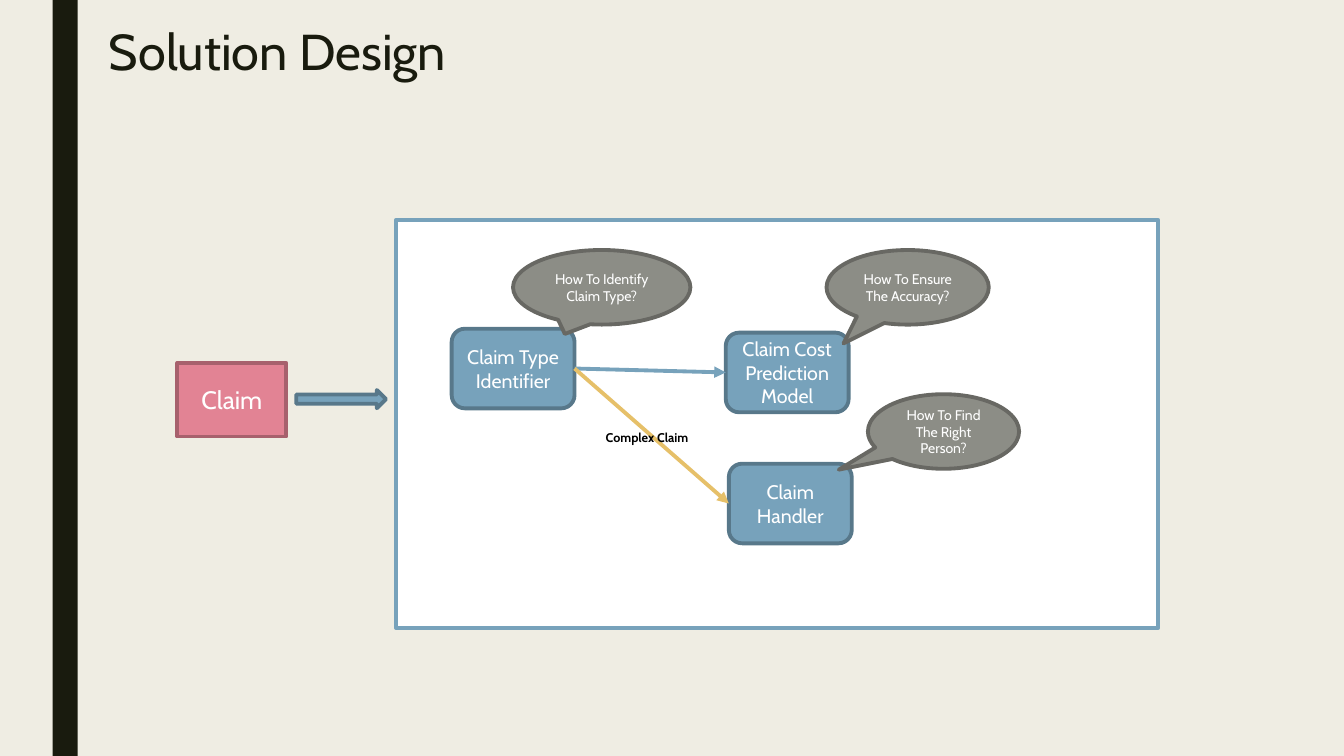
from lxml import etree
from pptx import Presentation
from pptx.dml.color import RGBColor
from pptx.enum.shapes import MSO_CONNECTOR, MSO_SHAPE
from pptx.enum.text import MSO_ANCHOR, PP_ALIGN
from pptx.oxml.ns import qn
from pptx.util import Pt

RECT, PANEL = MSO_SHAPE.RECTANGLE, MSO_SHAPE.FLOWCHART_PROCESS
STEP, ARROW = MSO_SHAPE.FLOWCHART_ALTERNATE_PROCESS, MSO_SHAPE.RIGHT_ARROW
BUBBLE, STRAIGHT = MSO_SHAPE.OVAL_CALLOUT, MSO_CONNECTOR.STRAIGHT
LEFT, CENTER = PP_ALIGN.LEFT, PP_ALIGN.CENTER
TOP, MIDDLE = MSO_ANCHOR.TOP, MSO_ANCHOR.MIDDLE
COLORS = {
    "paper": "EFEDE3", "ink": "191B0E", "white": "FFFFFF", "black": "000000",
    "rose": "E28394", "wine": "A7616D", "blue": "77A2BB", "navy": "58788A",
    "gray": "8C8D86", "slate": "686863", "gold": "E6C069",
}
LINE = Pt(2.75)
LEFT_SITE, RIGHT_SITE = 1, 3


def color(name):
    """Return the named colour."""
    return RGBColor.from_string(COLORS[name])


def write(frame, text, size, tint, align=CENTER, anchor=MIDDLE, bold=False):
    """Fill a text frame with one formatted paragraph."""
    frame.word_wrap = True
    frame.vertical_anchor = anchor
    para = frame.paragraphs[0]
    para.text, para.alignment = text, align
    form = {"name": "Cabin", "size": Pt(size), "bold": bold}
    for key, value in form.items():
        setattr(para.font, key, value)
    para.font.color.rgb = color(tint)
    return para


def draw(slide, kind, box, fill, edge=None, text="", size=14):
    """Add a filled preset shape with optional outline and text."""
    shape = slide.shapes.add_shape(kind, *map(Pt, box))
    shape.shadow.inherit = False
    shape.fill.solid()
    shape.fill.fore_color.rgb = color(fill)
    if edge:
        shape.line.color.rgb = color(edge)
        shape.line.width = LINE
    else:
        shape.line.fill.background()
    if text:
        write(shape.text_frame, text, size, "white")
    return shape


def link(slide, start, end, tint):
    """Join two steps with an arrow."""
    line = slide.shapes.add_connector(STRAIGHT, 0, 0, 0, 0)
    line.begin_connect(start, RIGHT_SITE)
    line.end_connect(end, LEFT_SITE)
    line.line.color.rgb = color(tint)
    line.line.width = LINE
    etree.SubElement(line.line._get_or_add_ln(), qn("a:tailEnd"), type="triangle")
    etree.SubElement(line._element.spPr, qn("a:effectLst"))


def head(slide, box):
    """Place the slide title."""
    title = slide.shapes.title
    for key, value in zip(("left", "top", "width", "height"), box):
        setattr(title, key, Pt(value))
    para = write(title.text_frame, "Solution Design", 36, "ink", LEFT, TOP)
    para.line_spacing = 0.89


def claim(slide, box):
    """Draw the incoming claim and its arrow."""
    left, top, width, height = box
    draw(slide, RECT, (left, top, 77.8, height), "rose", "wine", "Claim", 18)
    draw(slide, ARROW, (left + 85, top + 19.4, width - 85, 13), "blue", "navy")


def flow(slide, box):
    """Draw the panel with its steps, links and questions."""
    left, top = box[:2]
    draw(slide, PANEL, box, "white", "blue")
    steps = [
        draw(slide, STEP, (left + x, top + y, 87.8, 56.9), "blue", "navy", text)
        for x, y, text in (
            (39.6, 77.8, "Claim Type Identifier"),
            (235.4, 80.6, "Claim Cost Prediction Model"),
            (237.6, 174.2, "Claim Handler"),
        )
    ]
    for end, tint in zip(steps[1:], ("blue", "gold")):
        link(slide, steps[0], end, tint)
    note = slide.shapes.add_textbox(Pt(left + 142.6), Pt(top + 146.2), Pt(79.2), Pt(18))
    write(note.text_frame, "Complex Claim", 9, "black", LEFT, TOP, True)
    for x, y, width, tip, text in (
        (83.5, 21.6, 126.7, (-0.208, 0.625), "How To Identify Claim Type?"),
        (337, 124.6, 108, (-0.693, 0.512), "How To Find The Right Person?"),
        (307.4, 21.6, 115.9, (-0.395, 0.752), "How To Ensure The Accuracy?"),
    ):
        spot = (left + x, top + y, width, 53.3)
        bubble = draw(slide, BUBBLE, spot, "gray", "slate", text, 10)
        for i, value in enumerate(tip):
            bubble.adjustments[i] = value


def main():
    """Build and save the slide."""
    deck = Presentation()
    deck.slide_width, deck.slide_height = Pt(960), Pt(540)
    slide = deck.slides.add_slide(deck.slide_layouts[5])
    slide.background.fill.solid()
    slide.background.fill.fore_color.rgb = color("paper")
    draw(slide, RECT, (37.5, 0, 18, 540), "ink")
    head(slide, (70.6, 15.8, 296, 51))
    claim(slide, (126.7, 259.2, 149, 52.6))
    flow(slide, (283, 157, 544.3, 291.6))
    deck.save("out.pptx")


if __name__ == "__main__":
    main()
